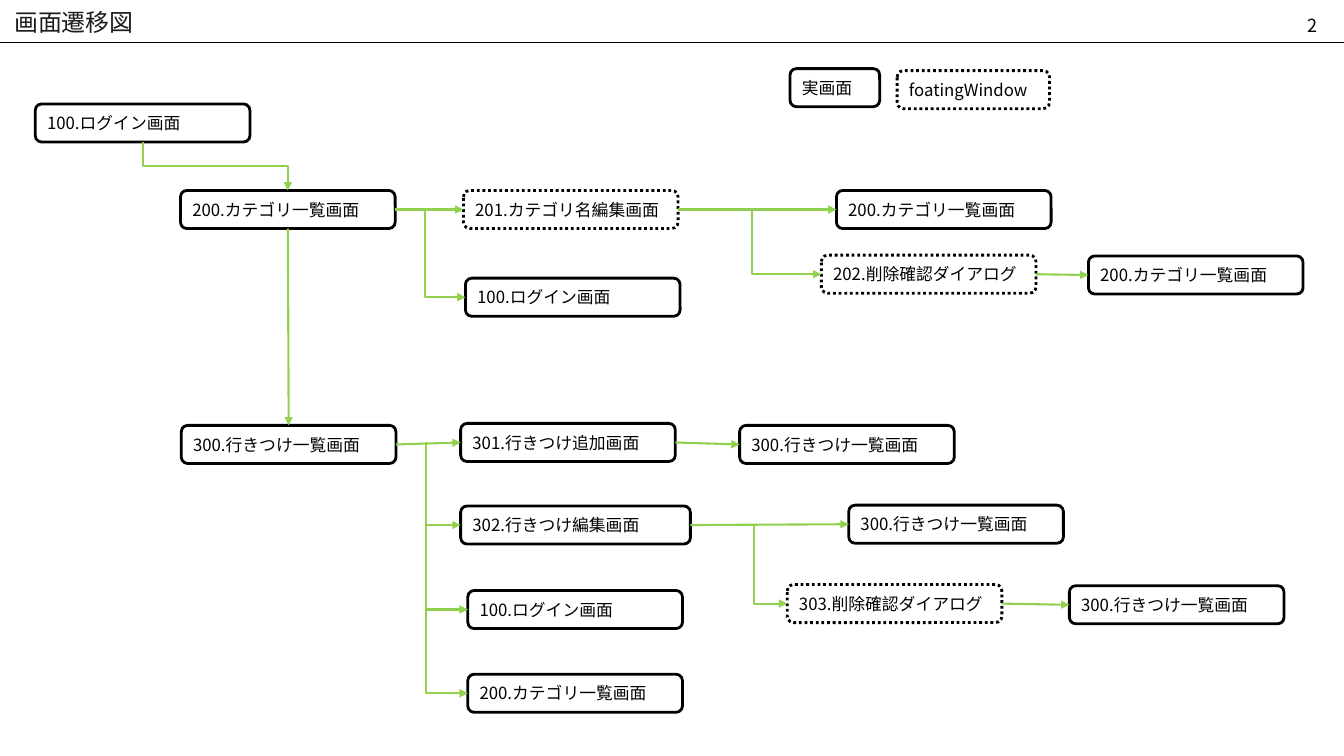
from lxml import etree
from pptx import Presentation
from pptx.dml.color import RGBColor
from pptx.enum.dml import MSO_LINE
from pptx.enum.shapes import MSO_CONNECTOR, MSO_SHAPE
from pptx.enum.text import MSO_ANCHOR, PP_ALIGN
from pptx.oxml.ns import qn
from pptx.util import Cm, Pt

STRAIGHT, ELBOW = MSO_CONNECTOR.STRAIGHT, MSO_CONNECTOR.ELBOW
ROUNDED = MSO_SHAPE.ROUNDED_RECTANGLE
DOTTED = MSO_LINE.ROUND_DOT
MIDDLE, TOP = MSO_ANCHOR.MIDDLE, MSO_ANCHOR.TOP
LEFT, RIGHT = PP_ALIGN.LEFT, PP_ALIGN.RIGHT
TOP_SITE, LEFT_SITE, BOTTOM_SITE, RIGHT_SITE = range(4)

FONT = "Noto Sans CJK JP"
BLACK, WHITE, GREEN, CHARCOAL = "000000", "FFFFFF", "92D050", "1C1C1C"
SLIDE_WIDTH, SLIDE_HEIGHT = 33.87, 19.05
HEADER_LINE_Y = 1.07
SCREEN_WIDTH, SCREEN_HEIGHT = 5.41, 0.96

LOGIN = "100.ログイン画面"
CATEGORIES = "200.カテゴリ一覧画面"
FAVORITES = "300.行きつけ一覧画面"

HEADINGS = [
    ("画面遷移図", (0, 0.1, 30.48, 0.89), 17.1, CHARCOAL, LEFT, MIDDLE, (0.36, 0.18)),
    ("2", (25.55, 0.23, 7.9, 0.38), 12.9, BLACK, RIGHT, TOP, (0.25, 0.13)),
]

SCREENS = {
    "login": (LOGIN, 0.89, 2.62, SCREEN_WIDTH),
    "categories": (CATEGORIES, 4.55, 4.8, SCREEN_WIDTH),
    "favorites": (FAVORITES, 4.57, 10.72, SCREEN_WIDTH),
    "login from categories": (LOGIN, 11.73, 7.01, SCREEN_WIDTH),
    "categories from edit": (CATEGORIES, 21.08, 4.8, SCREEN_WIDTH),
    "categories from delete": (CATEGORIES, 27.43, 6.45, SCREEN_WIDTH),
    "favorite add": ("301.行きつけ追加画面", 11.61, 10.67, SCREEN_WIDTH),
    "favorites from add": (FAVORITES, 18.64, 10.72, SCREEN_WIDTH),
    "favorite edit": ("302.行きつけ編集画面", 11.61, 12.75, 5.79),
    "favorites from edit": (FAVORITES, 21.39, 12.73, SCREEN_WIDTH),
    "favorites from delete": (FAVORITES, 26.95, 14.76, SCREEN_WIDTH),
    "login from favorites": (LOGIN, 11.79, 14.88, SCREEN_WIDTH),
    "categories from favorites": (CATEGORIES, 11.79, 16.99, SCREEN_WIDTH),
    "legend screen": ("実画面", 19.91, 1.73, 2.26),
}
FLOATING_WINDOWS = {
    "category edit": ("201.カテゴリ名編集画面", 11.68, 4.8, SCREEN_WIDTH),
    "category delete": ("202.削除確認ダイアログ", 20.7, 6.43, SCREEN_WIDTH),
    "favorite delete": ("303.削除確認ダイアログ", 19.84, 14.73, SCREEN_WIDTH),
    "legend floating": ("foatingWindow", 22.61, 1.78, 3.84),
}

SIDEWAYS = [
    ("categories", "category edit"),
    ("category edit", "categories from edit"),
    ("category delete", "categories from delete"),
    ("favorites", "favorite add"),
    ("favorite add", "favorites from add"),
    ("favorite edit", "favorites from edit"),
    ("favorite delete", "favorites from delete"),
]
BRANCHES = [
    (10.72, "category edit", "login from categories"),
    (18.95, "categories from edit", "category delete"),
    (10.74, "favorite add", "favorite edit"),
    (10.74, "favorite edit", "login from favorites"),
    (10.74, "login from favorites", "categories from favorites"),
    (19.0, "favorites from edit", "favorite delete"),
]


def color(value):
    return RGBColor.from_string(value)


def write(frame, words, size, ink, **layout):
    paragraph = frame.paragraphs[0]
    paragraph.alignment = layout.pop("alignment")
    for attribute, value in layout.items():
        setattr(frame, attribute, value)
    run = paragraph.add_run()
    run.text = words
    for attribute, value in {"name": FONT, "size": Pt(size)}.items():
        setattr(run.font, attribute, value)
    run.font.color.rgb = color(ink)
    etree.SubElement(run.font._element, qn("a:ea"), typeface=FONT)


def add_screen(shapes, words, left, top, width, dash=None):
    screen = shapes.add_shape(ROUNDED, Cm(left), Cm(top), Cm(width), Cm(SCREEN_HEIGHT))
    screen.shadow.inherit = False
    screen.fill.solid()
    screen.fill.fore_color.rgb = color(WHITE)
    screen.line.color.rgb = color(BLACK)
    for attribute, value in {"width": Pt(2), "dash_style": dash}.items():
        setattr(screen.line, attribute, value)
    write(screen.text_frame, words, 12, BLACK, alignment=LEFT,
          vertical_anchor=MIDDLE, word_wrap=True)
    return screen


def add_line(shapes, kind, start, end, ink, weight, arrow=True):
    line = shapes.add_connector(kind, *start, *end)
    line.line.color.rgb = color(ink)
    line.line.width = Pt(weight)
    if arrow:
        etree.SubElement(line.line._get_or_add_ln(), qn("a:tailEnd"), type="triangle")
    etree.SubElement(line._element.spPr, qn("a:effectLst"))
    return line


def add_glued_arrow(shapes, source, source_site, target, target_site):
    arrow = add_line(shapes, STRAIGHT, (0, 0), (0, 0), GREEN, 1.5)
    arrow.begin_connect(source, source_site)
    arrow.end_connect(target, target_site)


def add_downward_elbow(shapes, start, end, preset):
    elbow = add_line(shapes, ELBOW, start, end, GREEN, 1.5)
    across, down = end[0] - start[0], end[1] - start[1]
    turned = {
        "left": (start[0] + end[0] - down) // 2,
        "top": (start[1] + end[1] - across) // 2,
        "width": down,
        "height": across,
    }
    for attribute, value in turned.items():
        setattr(elbow, attribute, value)
    properties = elbow._element.spPr
    transform = properties.find(qn("a:xfrm"))
    for attribute, value in {"rot": "16200000", "flipH": "1"}.items():
        transform.set(attribute, value)
    properties.find(qn("a:prstGeom")).set("prst", preset)


def middle_x(screen):
    return screen.left + screen.width // 2


def middle_y(screen):
    return screen.top + screen.height // 2


def main():
    deck = Presentation()
    deck.slide_width, deck.slide_height = Cm(SLIDE_WIDTH), Cm(SLIDE_HEIGHT)
    shapes = deck.slides.add_slide(deck.slide_layouts[6]).shapes

    add_line(shapes, STRAIGHT, (0, Cm(HEADER_LINE_Y)),
             (Cm(SLIDE_WIDTH), Cm(HEADER_LINE_Y)), BLACK, 0.75, arrow=False)
    for words, area, size, ink, alignment, anchor, (side, edge) in HEADINGS:
        heading = shapes.add_textbox(*map(Cm, area))
        write(heading.text_frame, words, size, ink, alignment=alignment,
              vertical_anchor=anchor, word_wrap=True,
              margin_left=Cm(side), margin_right=Cm(side),
              margin_top=Cm(edge), margin_bottom=Cm(edge))

    placed = {key: add_screen(shapes, *screen) for key, screen in SCREENS.items()}
    for key, window in FLOATING_WINDOWS.items():
        placed[key] = add_screen(shapes, *window, dash=DOTTED)

    for source, target in SIDEWAYS:
        add_glued_arrow(shapes, placed[source], RIGHT_SITE, placed[target], LEFT_SITE)
    add_glued_arrow(shapes, placed["categories"], BOTTOM_SITE,
                    placed["favorites"], TOP_SITE)

    for trunk, upper, target in BRANCHES:
        add_downward_elbow(shapes, (Cm(trunk), middle_y(placed[upper])),
                           (placed[target].left, middle_y(placed[target])),
                           "bentConnector2")
    login, categories = placed["login"], placed["categories"]
    add_downward_elbow(shapes, (middle_x(login), login.top + login.height),
                       (middle_x(categories), categories.top), "bentConnector3")

    deck.save("out.pptx")


if __name__ == "__main__":
    main()
